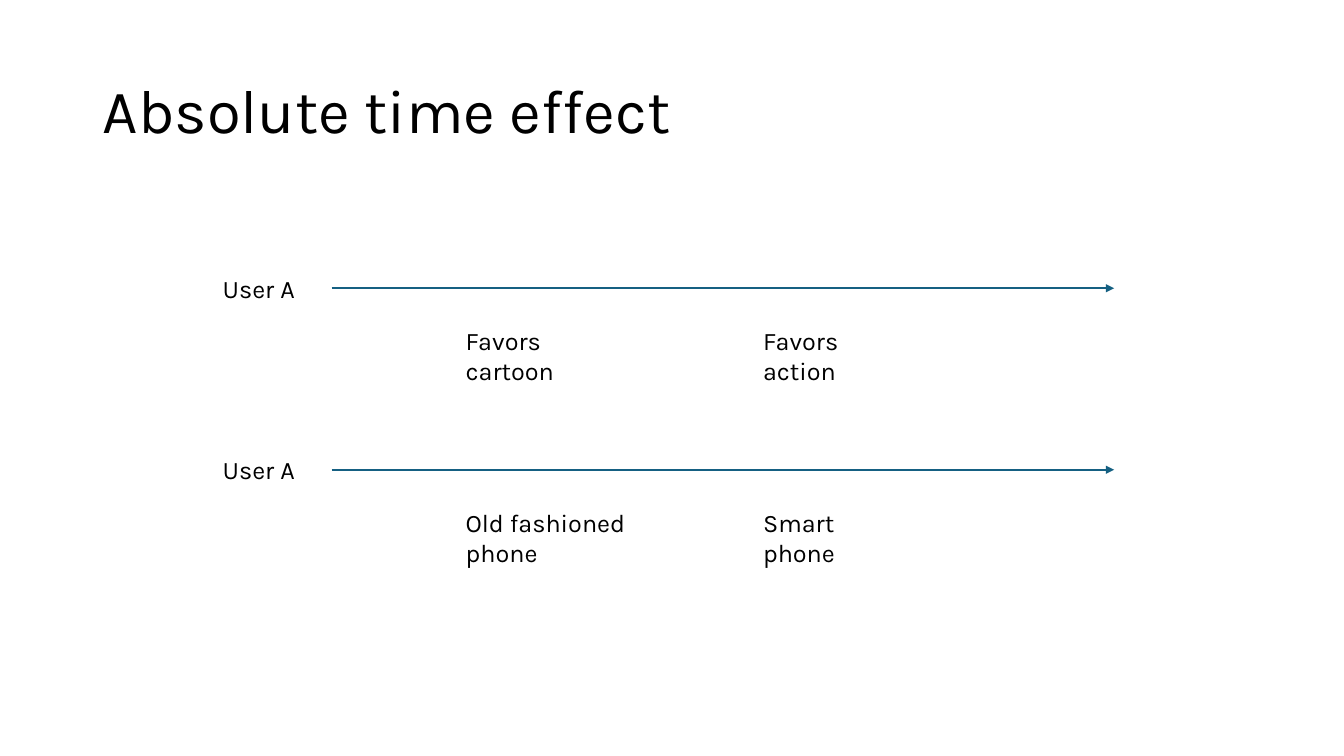
from lxml import etree
from pptx import Presentation
from pptx.dml.color import RGBColor
from pptx.enum.shapes import MSO_CONNECTOR
from pptx.enum.text import MSO_ANCHOR, MSO_AUTO_SIZE, PP_ALIGN
from pptx.oxml.ns import qn
from pptx.util import Pt

PX = 9144  # 100 px to the inch
FONT = "Karla"
COLORS = {"text": "000000", "arrow": "156082"}
STRAIGHT = MSO_CONNECTOR.STRAIGHT
LEFT, TOP, MIDDLE = PP_ALIGN.LEFT, MSO_ANCHOR.TOP, MSO_ANCHOR.MIDDLE
NO_FIT = MSO_AUTO_SIZE.NONE

ROW_LEFT, ROW_TOP, ROW_WIDTH, ROW_PITCH = 211, 266, 894, 180
# Each row: user, then (text, offset from the row's left, width)
TIMELINES = [
    ("User A", [("Favors cartoon", 241, 182), ("Favors action", 536, 166)]),
    ("User A", [("Old fashioned phone", 241, 246), ("Smart phone", 536, 160)]),
]


def px(*lengths):
    return [n * PX for n in lengths]


def write(sp, text, size=18, wrap=True, anchor=TOP, spacing=1.0):
    tf = sp.text_frame
    tf.auto_size = NO_FIT
    tf.word_wrap = wrap
    tf.vertical_anchor = anchor
    p = tf.paragraphs[0]
    p.alignment = LEFT
    p.line_spacing = spacing
    r = p.add_run()
    r.text = text
    r.font.name = FONT
    r.font.size = Pt(size)
    r.font.color.rgb = RGBColor.from_string(COLORS["text"])


def add_title(s, text, x, y, w, h):
    sp = s.shapes.title
    sp.left, sp.top, sp.width, sp.height = px(x, y, w, h)
    write(sp, text, size=44, anchor=MIDDLE, spacing=0.9)


def add_arrow(s, x1, y1, x2, y2):
    line = s.shapes.add_connector(STRAIGHT, *px(x1, y1, x2, y2))
    line.line.color.rgb = RGBColor.from_string(COLORS["arrow"])
    line.line.width = Pt(1.5)
    etree.SubElement(line.line._get_or_add_ln(), qn("a:tailEnd"), type="triangle")
    etree.SubElement(line._element.spPr, qn("a:effectLst"))


def add_timeline(s, user, notes, x, y, w):
    # Time axis and its user
    add_arrow(s, x + 118, y + 20, x + w, y + 20)
    write(s.shapes.add_textbox(*px(x, y, 91, 40)), user, wrap=False)
    # Preferences over time
    for text, dx, width in notes:
        write(s.shapes.add_textbox(*px(x + dx, y + 52, width, 70)), text)


def main():
    prs = Presentation()
    prs.slide_width, prs.slide_height = px(1333, 750)
    s = prs.slides.add_slide(prs.slide_layouts[5])
    add_title(s, "Absolute time effect", 92, 40, 1150, 145)
    for i, (user, notes) in enumerate(TIMELINES):
        add_timeline(s, user, notes, ROW_LEFT, ROW_TOP + i * ROW_PITCH, ROW_WIDTH)
    prs.save("out.pptx")


if __name__ == "__main__":
    main()
